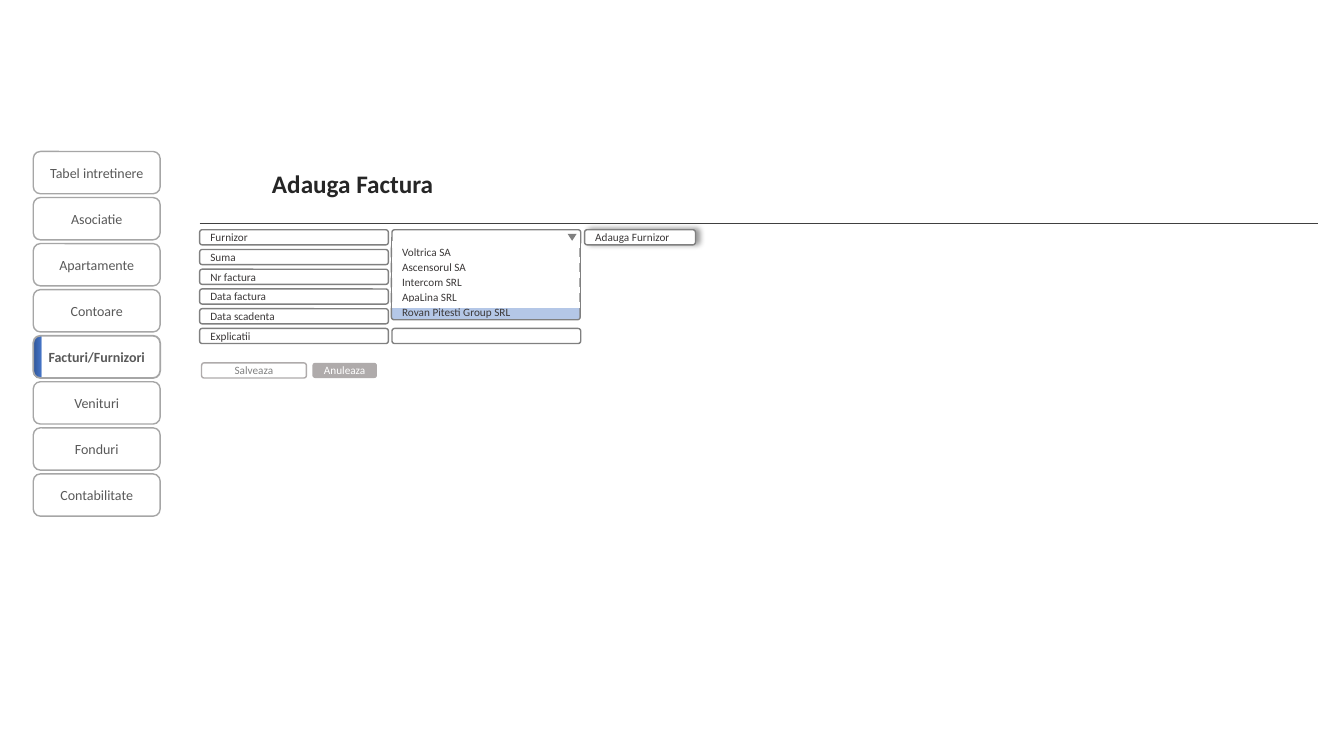
import pptx
import pptx.util
import pptx.dml.color
import pptx.enum.shapes
import pptx.enum.text
import pptx.oxml
import pptx.oxml.ns
from lxml import etree

Pt = pptx.util.Pt
SHAPE = pptx.enum.shapes.MSO_SHAPE
ALIGN = pptx.enum.text.PP_ALIGN

# Content
MENU = ["Tabel intretinere", "Asociatie", "Apartamente", "Contoare",
        "Facturi/Furnizori", "Venituri", "Fonduri", "Contabilitate"]
ACTIVE_PAGE = "Facturi/Furnizori"
TITLE = "Adauga Factura"
FIELDS = ["Furnizor", "Suma", "Nr factura", "Data factura", "Data scadenta", "Explicatii"]
SUPPLIERS = ["Voltrica SA", "Ascensorul SA", "Intercom SRL", "ApaLina SRL",
             "Rovan Pitesti Group SRL"]
CHOSEN_SUPPLIER = "Rovan Pitesti Group SRL"
ADD_SUPPLIER, SAVE, CANCEL = "Adauga Furnizor", "Salveaza", "Anuleaza"

# Colours and layout, in points
INK, GREY, PALE = "3B3838", "808080", "AFABAB"
MENU_LEFT, MENU_TOP, MENU_STEP, MENU_W, MENU_H = 23.8, 108.2, 32.9, 90.6, 30.2
LABEL_LEFT, INPUT_LEFT, FIELD_TOP, FIELD_STEP = 142.6, 280, 164.1, 14.1
FIELD_W, FIELD_H = 134.8, 10.8
OPTION_LEFT, OPTION_TOP, OPTION_STEP = 279.6, 174.4, 10.8
ADD_LEFT, BUTTON_TOP = 417.6, 259.2

deck = pptx.Presentation()
deck.slide_width, deck.slide_height = Pt(960), Pt(540)
slide = deck.slides.add_slide(deck.slide_layouts[6])


def rgb(value):
    return pptx.dml.color.RGBColor.from_string(value)


def write(frame, words, size, color, bold=False, align=ALIGN.LEFT):
    frame.text = words
    paragraph = frame.paragraphs[0]
    paragraph.alignment = align
    font = paragraph.runs[0].font
    font.name, font.size, font.bold = "Calibri", Pt(size), bold
    font.color.rgb = rgb(color)


def box(left, top, width, height, words="", fill=None, line=None, weight=1,
        size=8, color=INK, bold=False, align=ALIGN.LEFT, kind=SHAPE.ROUNDED_RECTANGLE):
    shape = slide.shapes.add_shape(kind, Pt(left), Pt(top), Pt(width), Pt(height))
    shape.shadow.inherit = False
    if fill:
        shape.fill.solid()
        shape.fill.fore_color.rgb = rgb(fill)
    else:
        shape.fill.background()
    if line:
        shape.line.color.rgb = rgb(line)
        shape.line.width = Pt(weight)
    else:
        shape.line.fill.background()
    if words:
        frame = shape.text_frame
        frame.word_wrap = True
        frame.margin_top = frame.margin_bottom = 0
        frame.vertical_anchor = pptx.enum.text.MSO_ANCHOR.MIDDLE
        write(frame, words, size, color, bold, align)
    return shape


def rule(x1, y1, x2, y2, color, weight):
    line = slide.shapes.add_connector(pptx.enum.shapes.MSO_CONNECTOR.STRAIGHT,
                                      Pt(x1), Pt(y1), Pt(x2), Pt(y2))
    line.line.color.rgb = rgb(color)
    line.line.width = Pt(weight)
    etree.SubElement(line._element.spPr, pptx.oxml.ns.qn("a:effectLst"))


def mark_active(shape):
    """Blue stripe along the left edge, made with a gradient."""
    shape.fill.gradient()
    shape.fill.gradient_angle = 180
    stops = shape._element.spPr.find(".//" + pptx.oxml.ns.qn("a:gsLst"))
    for stop in list(stops):
        stops.remove(stop)
    for percent, color in [(93, "FFFFFF"), (94, "4472C4"), (100, "2F5597"), (100, "FFFFFF")]:
        stop = etree.SubElement(stops, pptx.oxml.ns.qn("a:gs"), pos=str(percent * 1000))
        etree.SubElement(stop, pptx.oxml.ns.qn("a:srgbClr"), val=color)


def cast_shadow(shape):
    effects = shape._element.spPr.find(pptx.oxml.ns.qn("a:effectLst"))
    effects.append(pptx.oxml.parse_xml(
        f'<a:outerShdw {pptx.oxml.ns.nsdecls("a")} blurRad="{Pt(4)}" dist="{Pt(3)}" '
        f'dir="{347 * 60000}" algn="l" rotWithShape="0">'
        '<a:srgbClr val="000000"><a:alpha val="40000"/></a:srgbClr></a:outerShdw>'))


# Side menu
for row, page in enumerate(MENU):
    active = page == ACTIVE_PAGE
    entry = box(MENU_LEFT, MENU_TOP + row * MENU_STEP, MENU_W, MENU_H, page, "FFFFFF", "A6A6A6",
                1.25 if active else 1, 10, "595959", active, ALIGN.CENTER)
    if active:
        mark_active(entry)

# Title and the rule under it
title = slide.shapes.add_textbox(Pt(187.2), Pt(116.8), Pt(145.4), Pt(29))
title.text_frame.word_wrap = True
write(title.text_frame, TITLE, 18, "262626", True)
for start in (LABEL_LEFT, LABEL_LEFT + 14.4):
    rule(start, 159.3, start + 784.8, 159.3, "404040", 0.5)

# Form labels, with inputs for the first and last
for row, field in enumerate(FIELDS):
    top = FIELD_TOP + row * FIELD_STEP
    box(LABEL_LEFT, top, FIELD_W, FIELD_H, field, line=GREY)
    if row in (0, len(FIELDS) - 1):
        box(INPUT_LEFT, top, FIELD_W, FIELD_H, line=GREY)

# Buttons
box(144, BUTTON_TOP, 74.9, FIELD_H, SAVE, line=PALE, color=GREY, align=ALIGN.CENTER)
box(223.2, BUTTON_TOP, 46.1, FIELD_H, CANCEL, PALE, color="FFFFFF", align=ALIGN.CENTER)
cast_shadow(box(ADD_LEFT, FIELD_TOP, 79.2, FIELD_H, ADD_SUPPLIER, "FFFFFF", GREY))

# Open supplier list: each strip hides the border between two options
arrow = box(405.4, 167, 6.5, 5, fill=GREY, kind=SHAPE.ISOSCELES_TRIANGLE)
arrow.rotation = 180
for row, supplier in enumerate(SUPPLIERS):
    top = OPTION_TOP + row * OPTION_STEP
    box(OPTION_LEFT, top, FIELD_W, FIELD_H, supplier,
        "B4C7E7" if supplier == CHOSEN_SUPPLIER else None, GREY)
    box(OPTION_LEFT, top - 1.5, FIELD_W, 3.6, fill="FFFFFF", line="FFFFFF", kind=SHAPE.RECTANGLE)
for side, top in ((OPTION_LEFT, 169.2), (OPTION_LEFT + FIELD_W + 0.2, 170.6)):
    rule(side, top, side, top + 54, GREY, 1)

deck.save("out.pptx")
